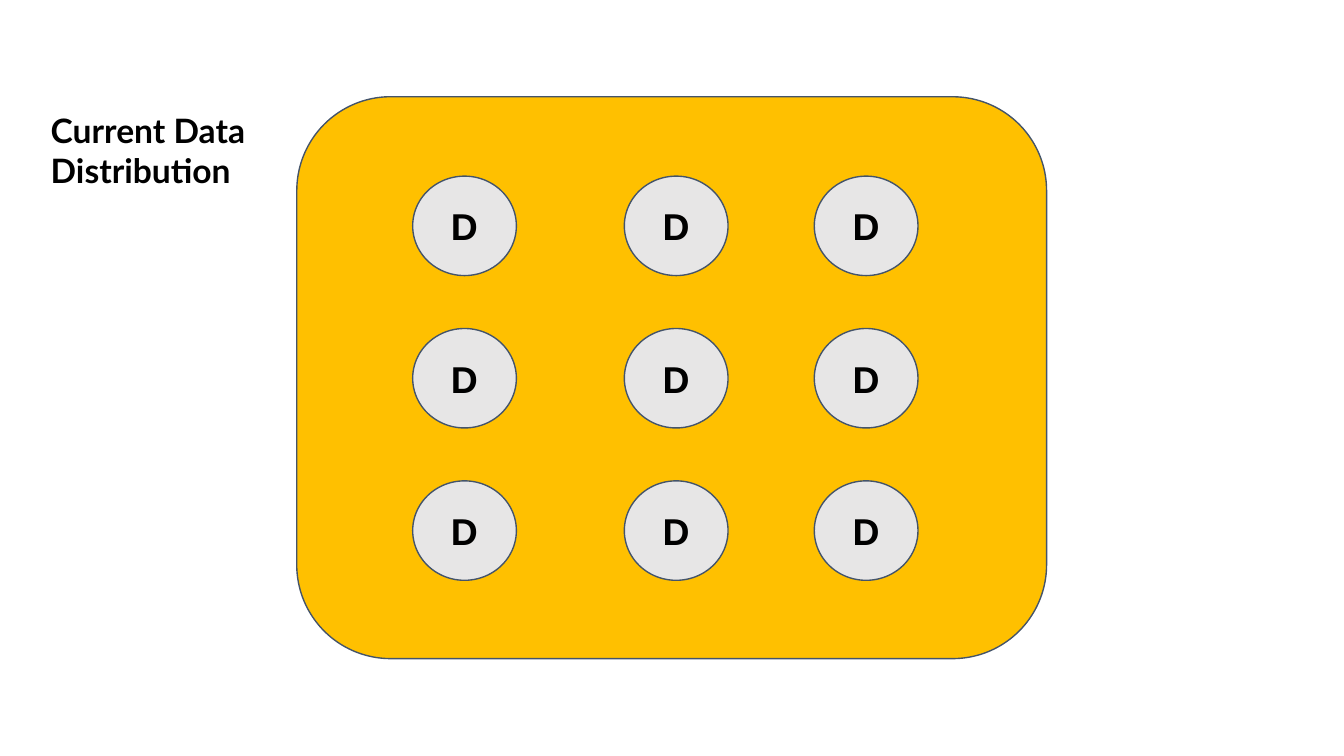
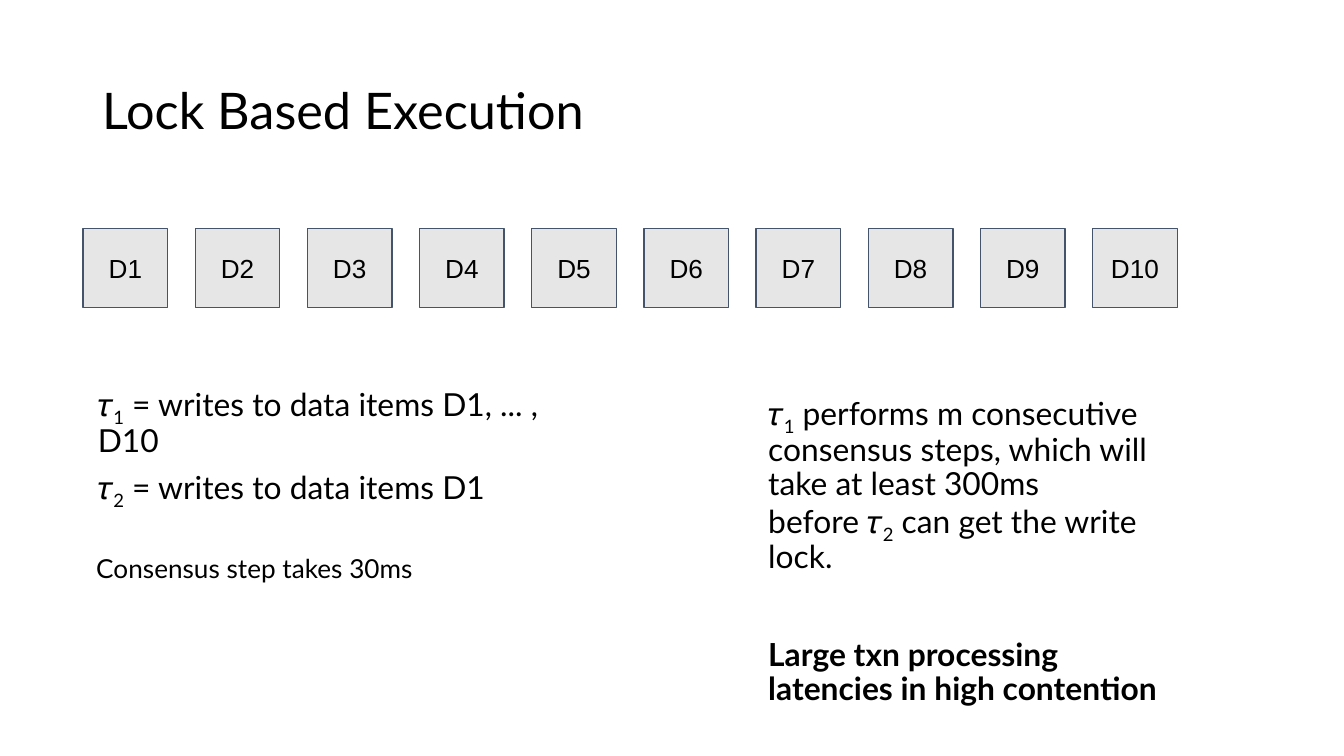
from pptx import Presentation
from pptx.dml.color import RGBColor
from pptx.enum.shapes import MSO_SHAPE as Shape
from pptx.enum.text import MSO_ANCHOR as Anchor, PP_ALIGN as Align
from pptx.util import Cm, Pt

COLORS = {"panel": "FFC000", "item": "E7E6E6", "line": "44546A", "text": "000000"}
TAU = "𝜏"


def color(name):
    return RGBColor.from_string(COLORS[name])


def write(p, text, size, font="Lato", bold=False, spacing=None, before=None, align=None):
    """Write text; a list may hold strings, (subscript,) tuples and None for a line break."""
    p.line_spacing, p.alignment = spacing, align
    if before:
        p.space_before = Pt(before)
    for part in [text] if isinstance(text, str) else text:
        if part is None:
            p.add_line_break()
            continue
        r = p.add_run()
        r.text = part if isinstance(part, str) else part[0]
        r.font.name, r.font.size, r.font.bold = font, Pt(size), bold
        r.font.color.rgb = color("text")
        if isinstance(part, tuple):
            r._r.get_or_add_rPr().set("baseline", "-25000")


def set_frame(tf, anchor, inset_x=0.25, inset_y=0.25):
    tf.word_wrap = True
    tf.vertical_anchor = anchor
    tf.margin_left = tf.margin_right = Cm(inset_x)
    tf.margin_top = tf.margin_bottom = Cm(inset_y)


def add_text(s, box, text, size, **fmt):
    tf = s.shapes.add_textbox(*map(Cm, box)).text_frame
    set_frame(tf, Anchor.TOP)
    write(tf.paragraphs[0], text, size, **fmt)
    return tf


def add_title(s, text):
    tf = add_text(s, (1.75, 0.76, 21.9, 2.77), text, 27, spacing=0.9)
    set_frame(tf, Anchor.MIDDLE, 0.18, 0.1)


def add_box(s, kind, box, fill):
    sp = s.shapes.add_shape(kind, *map(Cm, box))
    sp.shadow.inherit = False
    sp.fill.solid()
    sp.fill.fore_color.rgb = color(fill)
    sp.line.color.rgb = color("line")
    sp.line.width = Pt(0.75)
    return sp


def add_item(s, kind, box, label, size, bold=False):
    tf = add_box(s, kind, box, "item").text_frame
    set_frame(tf, Anchor.MIDDLE)
    write(tf.paragraphs[0], label, size, font="Arial", bold=bold, align=Align.CENTER)


def build_distribution(s):
    panel = add_box(s, Shape.ROUNDED_RECTANGLE, (5.61, 1.83, 14.17, 10.62), "panel")
    panel.adjustments[0] = 0.167
    for row in range(3):
        for left in (7.8, 11.8, 15.39):
            add_item(s, Shape.OVAL, (left, 3.33 + 2.88 * row, 1.96, 1.88), "D", 20, bold=True)
    add_text(s, (0.71, 1.83, 4.22, 2.82), "Current Data Distribution", 18, bold=True)


def build_locking(s):
    add_title(s, "Lock Based Execution")
    for i in range(10):
        add_item(s, Shape.RECTANGLE, (1.57 + 2.12 * i, 4.32, 1.6, 1.5), f"D{i + 1}", 14)
    for i, items in enumerate(("D1, ... , D10", "D1")):
        add_text(s, (1.6, 7.04 + 1.57 * i, 9.75, 1.17),
                 [TAU, (str(i + 1),), f" = writes to data items {items}"], 17, spacing=0.9)
    add_text(s, (1.57, 10.19, 8.59, 1.12), "Consensus step takes 30ms", 14)
    tf = add_text(s, (14.27, 7.21, 7.95, 6.32),
                  [TAU, ("1",),
                   " performs m consecutive consensus steps, which will take at least 300ms",
                   None, f"before {TAU}", ("2",), " can get the write lock."],
                  17, spacing=0.9)
    write(tf.add_paragraph(), "Large txn processing latencies in high contention", 17,
          bold=True, spacing=0.9, before=34)


def main():
    prs = Presentation()
    prs.slide_width, prs.slide_height = Cm(25.4), Cm(14.29)
    for build in (build_distribution, build_locking):
        build(prs.slides.add_slide(prs.slide_layouts[6]))
    prs.save("out.pptx")


if __name__ == "__main__":
    main()
